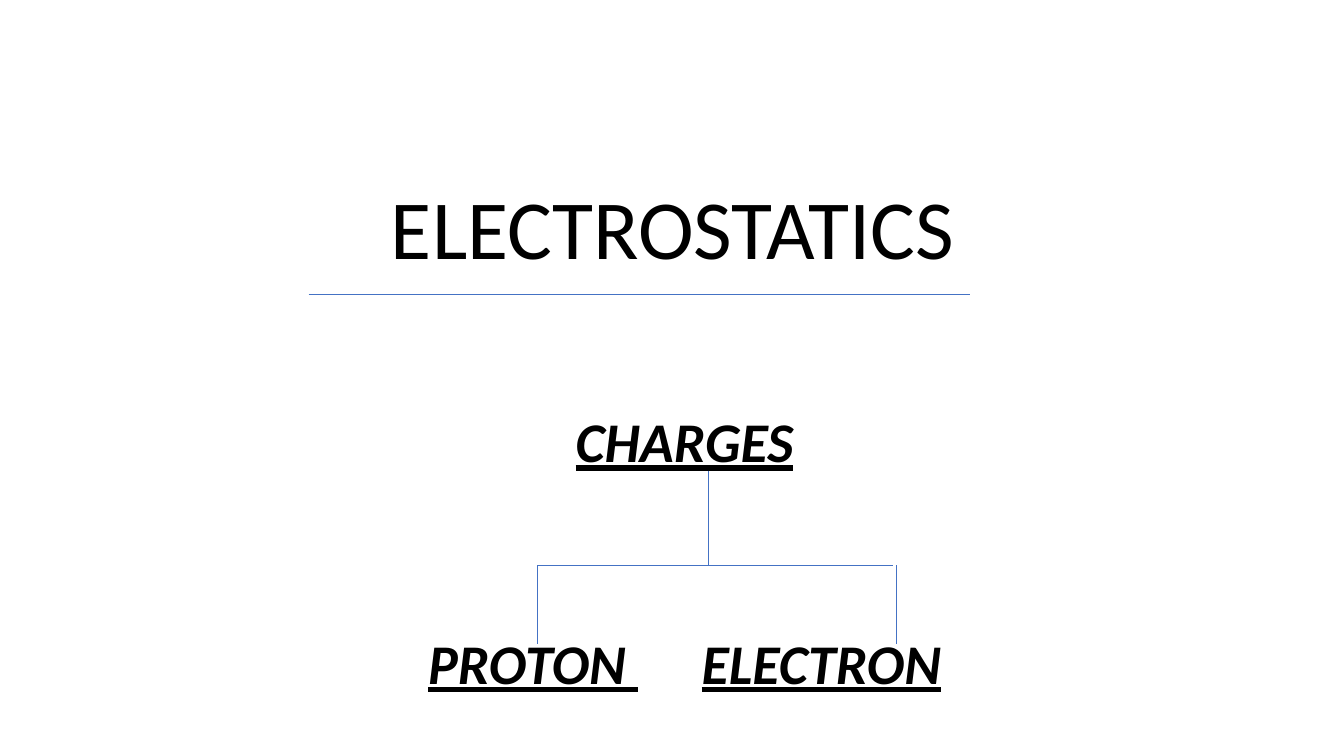
from lxml import etree
from pptx import Presentation
from pptx.dml.color import RGBColor
from pptx.enum.shapes import MSO_CONNECTOR
from pptx.enum.text import MSO_ANCHOR, PP_ALIGN
from pptx.oxml.ns import qn
from pptx.util import Pt

SCALE = 9144  # EMU per px, 100 px to the inch
STRAIGHT = MSO_CONNECTOR.STRAIGHT
TOP, BOTTOM = MSO_ANCHOR.TOP, MSO_ANCHOR.BOTTOM
CENTER = PP_ALIGN.CENTER


def px(n):
    return n * SCALE


def color(code):
    return RGBColor.from_string(code)


def write(para, words, size=40, strong=False, gap=0, before=0):
    """Fill a paragraph; strong is bold, italic, underlined; gap widens spaces."""
    para.alignment = CENTER
    para.line_spacing = 0.9
    para.space_before = Pt(before)
    for part in words:
        run = para.add_run()
        run.text = part
        font = run.font
        font.name = Deck.face
        font.size = Pt(size)
        font.color.rgb = color(Deck.ink)
        font.bold = font.italic = font.underline = strong
        if part == " ":
            run._r.get_or_add_rPr().set("spc", str(gap * 100))


class Deck:
    face = "Calibri"
    ink = "000000"
    blue = "4472C4"

    def __init__(self, wide, high):
        self.file = Presentation()
        self.file.slide_width, self.file.slide_height = px(wide), px(high)
        self.slide = self.file.slides.add_slide(self.file.slide_layouts[6])

    def text(self, x, y, w, h, lines, anchor=TOP, foot=5, before=0, **style):
        box = self.slide.shapes.add_textbox(px(x), px(y), px(w), px(h))
        frame = box.text_frame
        frame.word_wrap = True
        frame.vertical_anchor = anchor
        frame.margin_top = px(5)
        frame.margin_bottom = px(foot)
        for i, words in enumerate(lines):
            para = frame.add_paragraph() if i else frame.paragraphs[0]
            write(para, words, before=before if i else 0, **style)

    def line(self, x1, y1, x2, y2):
        rule = self.slide.shapes.add_connector(
            STRAIGHT, px(x1), px(y1), px(x2), px(y2))
        rule.line.color.rgb = color(self.blue)
        rule.line.width = Pt(0.5)
        etree.SubElement(rule._element.spPr, qn("a:effectLst"))


def main():
    deck = Deck(1333, 750)

    # Title and its rule
    deck.text(167, 123, 1000, 261, [["ELECTROSTATICS"]],
              anchor=BOTTOM, foot=109, size=60)
    deck.line(306, 292, 962, 292)

    # Words of the tree
    deck.text(167, 406, 1024, 330,
              [["CHARGES"], ["PROTON", " ", "ELECTRON"]],
              strong=True, gap=45, before=115)

    # Branches: stem, bar in pieces, two drops
    bar = 561
    deck.line(703, 467, 703, bar)
    for x1, x2 in ((747, 629), (727, 839), (839, 886), (579, 533), (579, 629)):
        deck.line(x1, bar, x2, bar)
    for x in (533, 889):
        deck.line(x, bar, x, 639)

    deck.file.save("out.pptx")


if __name__ == "__main__":
    main()
